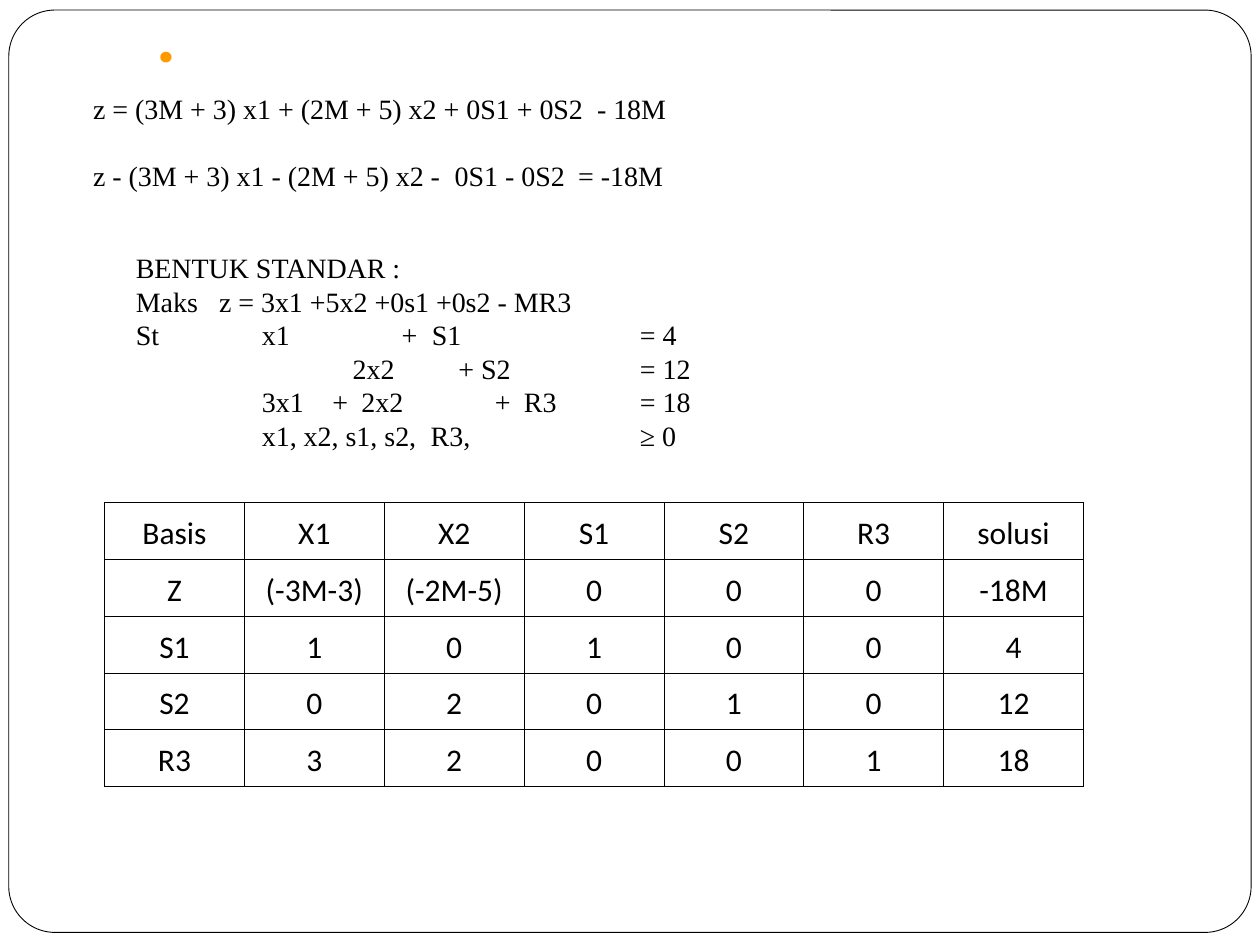
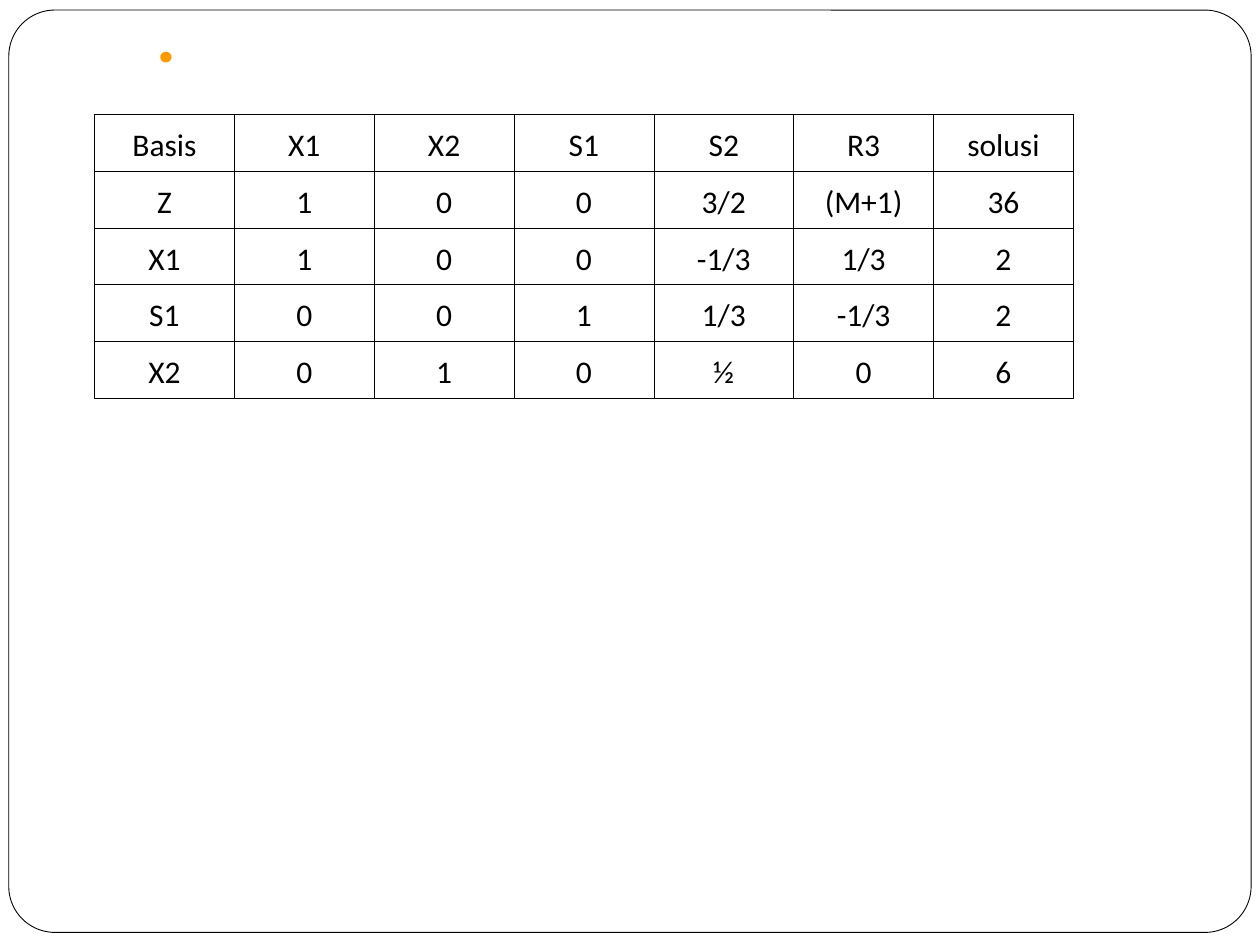
from lxml.etree import SubElement
from pptx import Presentation
from pptx.dml.color import RGBColor
from pptx.enum.shapes import MSO_SHAPE
from pptx.enum.text import MSO_ANCHOR, PP_ALIGN
from pptx.oxml.ns import qn
from pptx.util import Inches, Pt

COLORS = {"ink": "000000", "paper": "FFFFFF", "accent": "FF9900"}
TITLE = {"name": "Roboto", "size": Pt(40), "bold": True}
BODY = {"name": "Times New Roman", "size": Pt(16)}
CELL = {"name": "Calibri", "size": Pt(18)}
FORMULA_LINE = Pt(19.2)
COLUMN_WIDTH, ROW_HEIGHT = 1.11, 0.45
HEADER = ["Basis", "X1", "X2", "S1", "S2", "R3", "solusi"]

OBJECTIVE = [
    ("z = (3M + 3) x1 + (2M + 5) x2 + 0S1 + 0S2\t- 18M", [4]),
    ("z - (3M + 3) x1 - (2M + 5) x2 -\t0S1 - 0S2\t= -18M", [2.87, 3.85]),
]
STANDARD_FORM = [
    ("BENTUK STANDAR :", []),
    ("Maks\tz = 3x1 +5x2 +0s1 +0s2 - MR3", [0.66]),
    ("St\tx1\t+\tS1\t= 4", [1, 2.11, 2.35, 4]),
    ("\t2x2\t+ S2\t= 12", [1.72, 2.56, 4]),
    ("\t3x1\t+\t2x2\t+\tR3\t= 18", [1, 1.56, 1.79, 2.85, 3.08, 4]),
    ("\tx1, x2, s1, s2,\tR3,\t≥ 0", [1, 2.34, 4]),
]
FIRST_TABLEAU = [
    HEADER,
    ["Z", "(-3M-3)", "(-2M-5)", "0", "0", "0", "-18M"],
    ["S1", "1", "0", "1", "0", "0", "4"],
    ["S2", "0", "2", "0", "1", "0", "12"],
    ["R3", "3", "2", "0", "0", "1", "18"],
]
FINAL_TABLEAU = [
    HEADER,
    ["Z", "1", "0", "0", "3/2", "(M+1)", "36"],
    ["X1", "1", "0", "0", "-1/3", "1/3", "2"],
    ["S1", "0", "0", "1", "1/3", "-1/3", "2"],
    ["X2", "0", "1", "0", "½", "0", "6"],
]


def color(name):
    return RGBColor.from_string(COLORS[name])


def set_all(target, values):
    for name, value in values.items():
        setattr(target, name, value)


def add_span(para, text, style, ink="ink"):
    span = para.add_run()
    span.text = text
    set_all(span.font, style)
    span.font.color.rgb = color(ink)


def add_box(page, left, top, width, height, **frame_values):
    box = page.shapes.add_textbox(*map(Inches, (left, top, width, height)))
    set_all(box.text_frame, {"word_wrap": True, **frame_values})
    return box.text_frame


def add_tabs(para, stops):
    tabs = SubElement(para._p.get_or_add_pPr(), qn("a:tabLst"))
    for stop in stops:
        SubElement(tabs, qn("a:tab"), pos=str(Inches(stop)), algn="l")


def add_formulas(page, place, lines, gap=Pt(0)):
    frame = add_box(page, *place)
    for index, (text, stops) in enumerate(lines):
        para = frame.add_paragraph() if index else frame.paragraphs[0]
        para.line_spacing = FORMULA_LINE
        if index:
            para.space_before = gap
        if stops:
            add_tabs(para, stops)
        add_span(para, text, BODY)


def add_borders(cell):
    properties = cell._tc.get_or_add_tcPr()
    for side in ("lnL", "lnR", "lnT", "lnB"):
        line = SubElement(properties, qn(f"a:{side}"), w=str(Pt(0.45)))
        fill = SubElement(line, qn("a:solidFill"))
        SubElement(fill, qn("a:srgbClr"), val=COLORS["ink"])


def add_tableau(page, left, top, rows, side_margin):
    row_count, column_count = len(rows), len(rows[0])
    width, height = COLUMN_WIDTH * column_count, ROW_HEIGHT * row_count
    place = map(Inches, (left, top, width, height))
    table = page.shapes.add_table(row_count, column_count, *place).table
    set_all(table, {"first_row": False, "horz_banding": False})
    margins = {"margin_left": Inches(side_margin), "margin_right": Inches(side_margin)}
    for cell, text in zip(table.iter_cells(), sum(rows, [])):
        set_all(cell, margins)
        add_borders(cell)
        cell.fill.background()
        para = cell.text_frame.paragraphs[0]
        set_all(para, {"alignment": PP_ALIGN.CENTER, "line_spacing": 1.15})
        add_span(para, text, CELL)


def add_page(deck):
    page = deck.slides.add_slide(deck.slide_layouts[6])
    place = map(Inches, (0.07, 0.08, 9.86, 7.32))
    border = page.shapes.add_shape(MSO_SHAPE.ROUNDED_RECTANGLE, *place)
    border.adjustments[0] = 0.05
    border.shadow.inherit = False
    border.fill.solid()
    border.fill.fore_color.rgb = color("paper")
    border.line.color.rgb = color("ink")
    border.line.width = Pt(0.5)
    title = add_box(page, 1.14, 0.46, 8.36, 0.25,
                    vertical_anchor=MSO_ANCHOR.BOTTOM, margin_bottom=Inches(0.1))
    add_span(title.paragraphs[0], ".", TITLE, "accent")
    return page


def main():
    deck = Presentation()
    set_all(deck, {"slide_width": Inches(10), "slide_height": Inches(7.5)})

    page = add_page(deck)
    add_tableau(page, 0.83, 3.99, FIRST_TABLEAU, 0.08)
    add_formulas(page, (0.64, 0.68, 9.01, 0.9), OBJECTIVE, FORMULA_LINE)
    add_formulas(page, (0.98, 1.94, 6.52, 1.7), STANDARD_FORM)

    page = add_page(deck)
    add_tableau(page, 0.75, 0.91, FINAL_TABLEAU, 0.07)

    deck.save("out.pptx")


if __name__ == "__main__":
    main()
